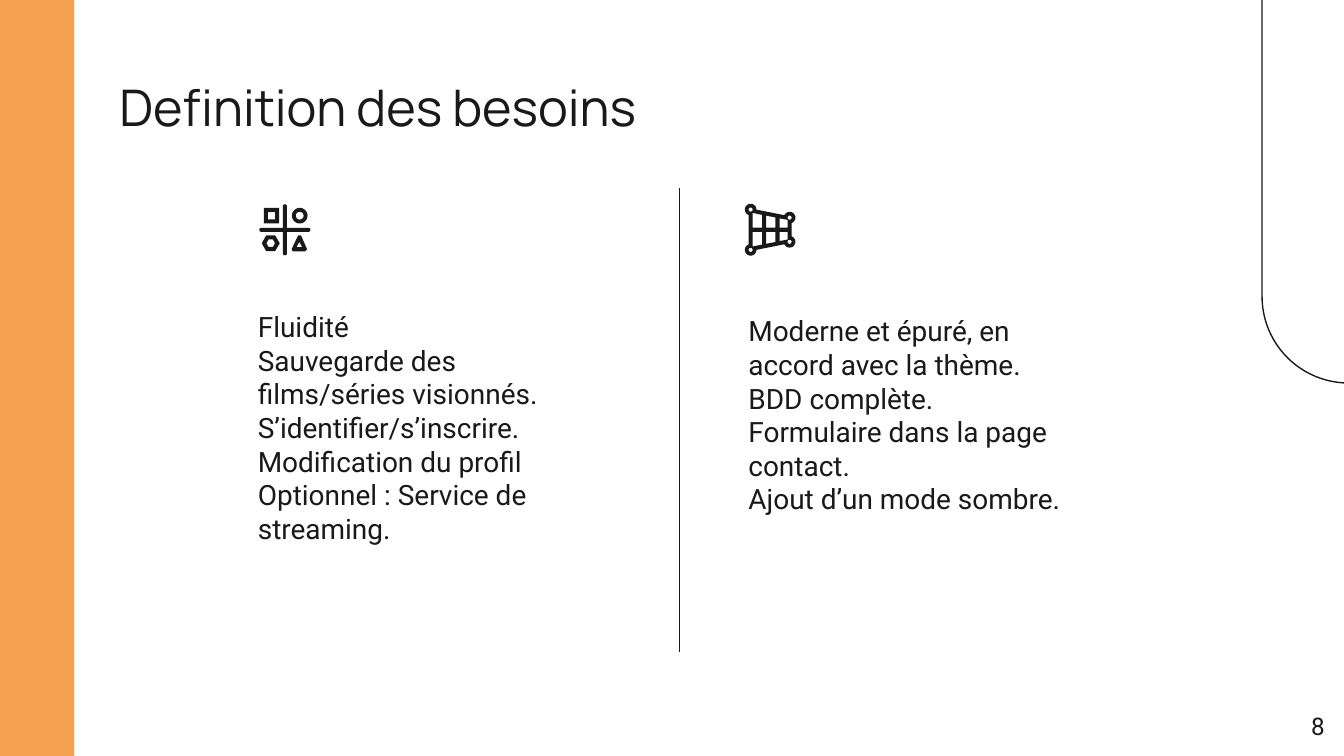
from dataclasses import dataclass
from math import cos, radians, sin

from lxml import etree
from pptx import Presentation
from pptx.dml.color import RGBColor
from pptx.enum.shapes import MSO_CONNECTOR, MSO_SHAPE
from pptx.enum.text import MSO_ANCHOR, PP_ALIGN
from pptx.oxml.ns import qn
from pptx.util import Inches, Pt

STRAIGHT = MSO_CONNECTOR.STRAIGHT
RECTANGLE, ROUNDED = MSO_SHAPE.RECTANGLE, MSO_SHAPE.ROUNDED_RECTANGLE
TOP, BOTTOM = MSO_ANCHOR.TOP, MSO_ANCHOR.BOTTOM
LEFT, RIGHT = PP_ALIGN.LEFT, PP_ALIGN.RIGHT

COLUMNS, ROWS = 100, 56.25
CELL = Inches(0.1)
FINE = 100

Point = tuple[float, float]
Contour = list[Point]


@dataclass(frozen=True)
class Theme:
    ink: RGBColor = RGBColor(0x19, 0x19, 0x19)
    accent: RGBColor = RGBColor(0xF5, 0xA0, 0x4F)
    heading: str = "Manrope"
    body: str = "Roboto"
    title_size: float = 27
    body_size: float = 15
    number_size: float = 13
    stroke: float = 0.75
    inset: float = 1


@dataclass(frozen=True)
class Area:
    left: float
    top: float
    width: float
    height: float

    def emu(self) -> list[int]:
        return [grid(n) for n in (self.left, self.top, self.width, self.height)]


@dataclass(frozen=True)
class TextBlock:
    area: Area
    lines: tuple[str, ...]
    font: str
    size: float
    anchor: MSO_ANCHOR = TOP
    align: PP_ALIGN = LEFT


THEME = Theme()

TEXTS = (
    TextBlock(Area(7.9, 4.65, 60.6, 14), ("Definition des besoins",),
              THEME.heading, THEME.title_size),
    TextBlock(Area(54.7, 22.35, 28.2, 19.2),
              ("Moderne et épuré, en accord avec la thème.", "BDD complète.",
               "Formulaire dans la page contact.", "Ajout d’un mode sombre."),
              THEME.body, THEME.body_size),
    TextBlock(Area(18.2, 20.95, 28.2, 20.6),
              ("Fluidité", "Sauvegarde des films/séries visionnés.",
               "S’identifier/s’inscrire.", "Modification du profil",
               "Optionnel : Service de streaming."),
              THEME.body, THEME.body_size, anchor=BOTTOM),
    TextBlock(Area(93.55, 51.95, 6, 4.3), ("8",),
              THEME.body, THEME.number_size, align=RIGHT),
)


def grid(cells: float) -> int:
    return round(cells * CELL)


def assign(target, values: dict) -> None:
    for name, value in values.items():
        setattr(target, name, value)


def add_text(page, block: TextBlock) -> None:
    frame = page.shapes.add_textbox(*block.area.emu()).text_frame
    inset = grid(THEME.inset)
    assign(frame, {"word_wrap": True, "vertical_anchor": block.anchor,
                   "margin_left": inset, "margin_right": inset,
                   "margin_top": inset, "margin_bottom": inset})
    for index, line in enumerate(block.lines):
        para = frame.paragraphs[0] if index == 0 else frame.add_paragraph()
        para.alignment = block.align
        span = para.add_run()
        span.text = line
        assign(span.font, {"name": block.font, "size": Pt(block.size)})
        span.font.color.rgb = THEME.ink


def fill_plain(shape, color: RGBColor) -> None:
    shape.shadow.inherit = False
    shape.fill.solid()
    shape.fill.fore_color.rgb = color
    shape.line.fill.background()


def stroke(shape) -> None:
    shape.line.color.rgb = THEME.ink
    shape.line.width = Pt(THEME.stroke)


def add_decor(page) -> None:
    tab = page.shapes.add_shape(ROUNDED, *Area(77.75, -0.55, 45.2, 12.9).emu())
    tab.adjustments[0] = 0.5
    tab.rotation = 90
    tab.shadow.inherit = False
    tab.fill.background()
    stroke(tab)
    band = page.shapes.add_shape(RECTANGLE, *Area(-0.1, -0.05, 5.62, 56.3).emu())
    fill_plain(band, THEME.accent)


def add_divider(page, column: float, top: float, bottom: float) -> None:
    divider = page.shapes.add_connector(
        STRAIGHT, grid(column), grid(top), grid(column), grid(bottom))
    stroke(divider)
    etree.SubElement(divider._element.spPr, qn("a:effectLst"))


def arc(center: Point, radius: float, start: float, end: float, steps: int = 12) -> Contour:
    angles = [radians(start + (end - start) * i / steps) for i in range(steps + 1)]
    return [(center[0] + radius * cos(a), center[1] + radius * sin(a)) for a in angles]


def polygon(center: Point, radius: float, sides: int, turn: float = 0) -> Contour:
    return arc(center, radius, turn, turn + 360, sides)[:-1]


def add_outline(page, contours: list[Contour]) -> None:
    scaled = [[(x * FINE, y * FINE) for x, y in contour] for contour in contours]
    builder = page.shapes.build_freeform(*scaled[0][0], scale=CELL / FINE)
    for index, contour in enumerate(scaled):
        if index:
            builder.move_to(*contour[0])
        builder.add_line_segments(contour[1:], close=True)
    fill_plain(builder.convert_to_shape(), THEME.ink)


def cross(center: Point, reach: float, half: float) -> Contour:
    points = []
    for turn in range(0, 360, 90):
        a = radians(turn)
        tip = (center[0] + (reach - half) * cos(a), center[1] + (reach - half) * sin(a))
        points += arc(tip, half, turn - 90, turn + 90, 8)
        points.append((center[0] + half * (cos(a) - sin(a)),
                       center[1] + half * (sin(a) + cos(a))))
    return points


def add_shapes_icon(page) -> None:
    square, circle, hexagon = (20.2, 16.05), (22.3, 16.05), (20.15, 18.1)
    add_outline(page, [polygon(square, 0.81, 4, 45), polygon(square, 0.38, 4, 45)])
    add_outline(page, [polygon(circle, 0.58, 32), polygon(circle, 0.29, 32)])
    add_outline(page, [
        [(22.2, 17.52), (22.4, 17.52), (22.85, 18.55), (22.72, 18.7),
         (21.78, 18.7), (21.7, 18.55), (22.15, 17.6)],
        [(22.28, 18), (22.49, 18.4), (22.06, 18.4)]])
    add_outline(page, [polygon(hexagon, 0.67, 6), polygon(hexagon, 0.32, 6)])
    add_outline(page, [cross((21.2, 17.1), 1.9, 0.15)])


def add_grid_icon(page) -> None:
    middle, bar, slope = 17.1, 0.15, 0.2
    knobs = (((55.85, 15.6), 110, 360), ((58.75, 16.2), 205, 430),
             ((58.75, 18), -70, 155), ((55.85, 18.6), 0, 250))
    outer = [point for center, start, end in knobs
             for point in arc(center, 0.43, start, end, 24)]
    holes = [polygon(center, 0.15, 16) for center, _, _ in knobs]
    for left, right in ((56, 56.7), (57, 57.7), (58, 58.6)):
        for side in (-1, 1):
            holes.append([
                (left, middle + side * bar), (right, middle + side * bar),
                (right, middle + side * (1.25 - slope * (right - 56))),
                (left, middle + side * (1.25 - slope * (left - 56)))])
    add_outline(page, [outer, *holes])


def main() -> None:
    deck = Presentation()
    assign(deck, {"slide_width": grid(COLUMNS), "slide_height": grid(ROWS)})
    page = deck.slides.add_slide(deck.slide_layouts[6])
    add_decor(page)
    for block in TEXTS:
        add_text(page, block)
    add_divider(page, 50.55, 14, 48.5)
    add_shapes_icon(page)
    add_grid_icon(page)
    deck.save("out.pptx")


if __name__ == "__main__":
    main()
